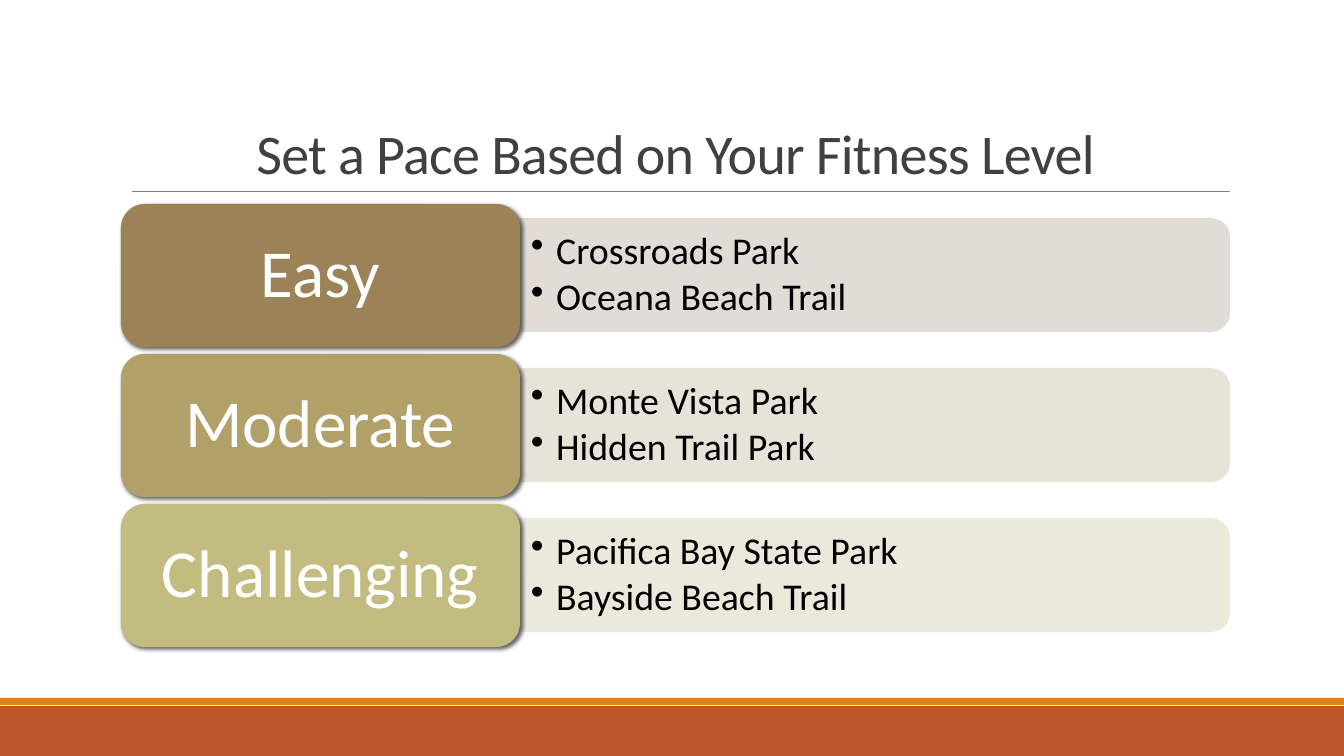
from lxml.etree import SubElement
from pptx import Presentation
from pptx.dml.color import RGBColor
from pptx.enum.shapes import MSO_CONNECTOR, MSO_SHAPE
from pptx.enum.text import MSO_ANCHOR, PP_ALIGN
from pptx.oxml import parse_xml
from pptx.oxml.ns import nsdecls, qn
from pptx.util import Emu, Pt

PX = 914400 / 100.8
THEME = {
    "font": "Calibri",
    "title": {"size": Pt(40), "color": "404040"},
    "level": {"size": Pt(48), "color": "FFFFFF"},
    "trail": {"size": Pt(27), "color": "000000"},
    "rule": "808080",
    "footer": "BD582C",
    "stripe": "E48312",
}
LEVELS = [
    ("Easy", "9B8357", "DED9D1", ["Crossroads Park", "Oceana Beach Trail"]),
    ("Moderate", "B1A169", "E4E0D4", ["Monte Vista Park", "Hidden Trail Park"]),
    ("Challenging", "C2BC80", "E9E7D8", ["Pacifica Bay State Park", "Bayside Beach Trail"]),
]
SHADOW = (
    f'<a:outerShdw {nsdecls("a")} blurRad="38100" dist="25400" dir="2700000" rotWithShape="0">'
    '<a:srgbClr val="000000"><a:alpha val="60000"/></a:srgbClr></a:outerShdw>'
)


def add_block(kind, box, color):
    shape = slide.shapes.add_shape(kind, *[Emu(round(value * PX)) for value in box])
    shape.shadow.inherit = False
    shape.fill.solid()
    shape.fill.fore_color.rgb = RGBColor.from_string(color)
    shape.line.fill.background()
    return shape


def write_text(shape, lines, style, anchor, insets, line_format, bullet=False):
    frame = shape.text_frame
    horizontal, vertical = [Emu(round(value * PX)) for value in insets]
    frame_format = {
        "word_wrap": True,
        "vertical_anchor": anchor,
        "margin_left": horizontal,
        "margin_right": horizontal,
        "margin_top": vertical,
        "margin_bottom": vertical,
    }
    for name, value in frame_format.items():
        setattr(frame, name, value)
    frame.text = "\n".join(lines)
    for paragraph in frame.paragraphs:
        for name, value in line_format.items():
            setattr(paragraph, name, value)
        if bullet:
            properties = paragraph._p.get_or_add_pPr()
            properties.set("marL", "228600")
            properties.set("indent", "-228600")
            SubElement(properties, qn("a:buChar")).set("char", "•")
        font = paragraph.runs[0].font
        font.name = THEME["font"]
        font.size = style["size"]
        font.color.rgb = RGBColor.from_string(style["color"])


presentation = Presentation()
presentation.slide_width = Emu(round(1344 * PX))
presentation.slide_height = Emu(round(756 * PX))
slide = presentation.slides.add_slide(presentation.slide_layouts[6])

add_block(MSO_SHAPE.RECTANGLE, (0, 706, 1344, 50), THEME["footer"])
add_block(MSO_SHAPE.RECTANGLE, (0, 698, 1344, 7), THEME["stripe"])

rule = slide.shapes.add_connector(
    MSO_CONNECTOR.STRAIGHT, *[Emu(round(value * PX)) for value in (132, 191, 1230, 191)]
)
rule.line.color.rgb = RGBColor.from_string(THEME["rule"])
rule.line.width = Pt(0.5)
SubElement(rule._element.spPr, qn("a:effectLst"))

title = slide.shapes.add_textbox(*[Emu(round(value * PX)) for value in (121, 31, 1109, 160)])
write_text(
    title, ["Set a Pace Based on Your Fitness Level"], THEME["title"], MSO_ANCHOR.BOTTOM, (10, 5),
    {"alignment": PP_ALIGN.CENTER, "line_spacing": 0.85},
)
title.text_frame.paragraphs[0].runs[0].font._element.set("spc", "-50")

panel_length, panel_height = 710, 114
for index, (level, card_color, panel_color, trails) in enumerate(LEVELS):
    top = 204 + 150 * index
    panel_left = 520 + (panel_length - panel_height) / 2
    panel_top = top + 14 + (panel_height - panel_length) / 2
    panel = add_block(
        MSO_SHAPE.ROUND_2_SAME_RECTANGLE,
        (panel_left, panel_top, panel_height, panel_length), panel_color,
    )
    panel.rotation = 90
    SubElement(panel.fill.fore_color._xFill.find(qn("a:srgbClr")), qn("a:alpha")).set("val", "90000")

    trail_box = slide.shapes.add_textbox(
        *[Emu(round(value * PX)) for value in (520, top + 20, 704, 103)]
    )
    write_text(
        trail_box, trails, THEME["trail"], MSO_ANCHOR.MIDDLE, (11, 6),
        {"alignment": PP_ALIGN.LEFT, "line_spacing": 0.9, "space_after": Pt(4)}, bullet=True,
    )

    card = add_block(MSO_SHAPE.ROUNDED_RECTANGLE, (121, top, 399, 143), card_color)
    card._element.spPr.find(qn("a:effectLst")).append(parse_xml(SHADOW))
    write_text(
        card, [level], THEME["level"], MSO_ANCHOR.MIDDLE, (20, 10),
        {"alignment": PP_ALIGN.CENTER, "line_spacing": 0.9},
    )

presentation.save("out.pptx")
